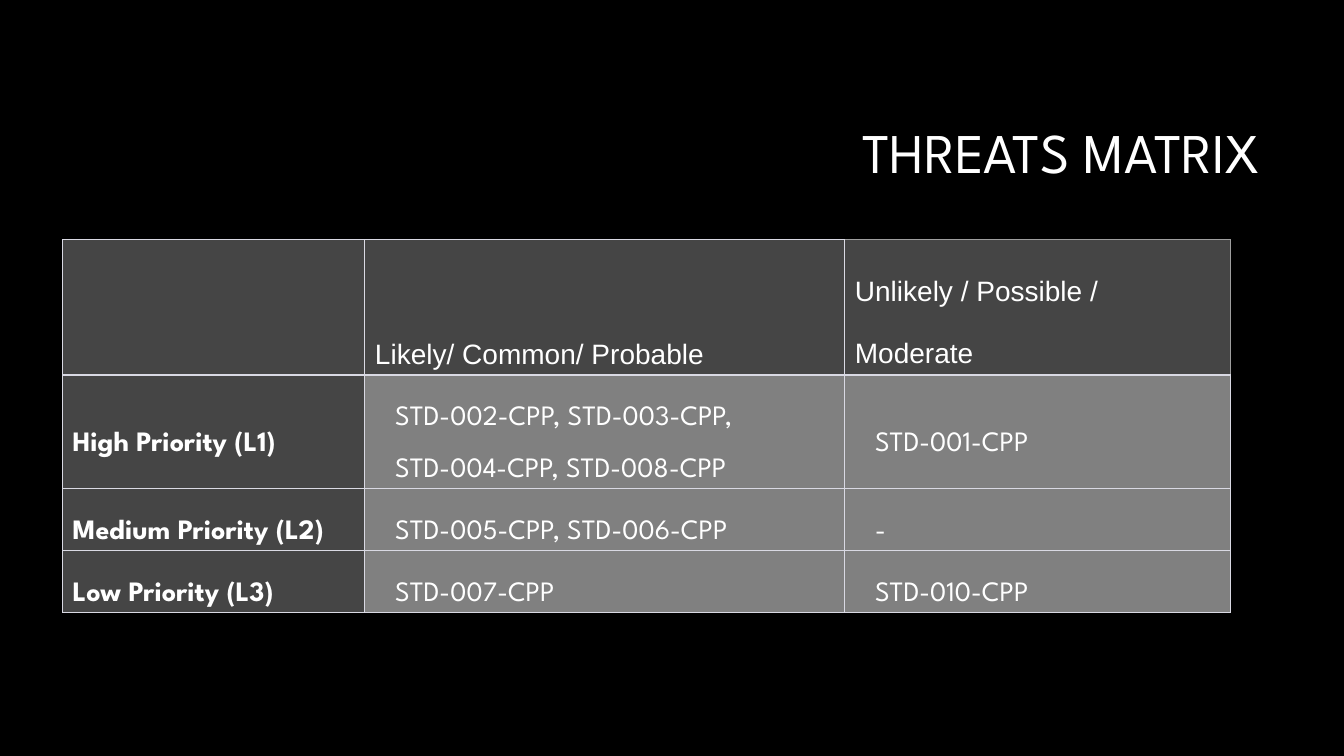
from dataclasses import dataclass

from lxml import etree
from pptx import Presentation
from pptx.dml.color import RGBColor
from pptx.enum.text import MSO_ANCHOR, PP_ALIGN
from pptx.oxml.ns import qn
from pptx.util import Inches, Pt

LEFT, RIGHT = PP_ALIGN.LEFT, PP_ALIGN.RIGHT
TOP, MIDDLE, BOTTOM = MSO_ANCHOR.TOP, MSO_ANCHOR.MIDDLE, MSO_ANCHOR.BOTTOM

BLACK = RGBColor(0x00, 0x00, 0x00)
WHITE = RGBColor(0xFF, 0xFF, 0xFF)
DARK = RGBColor(0x45, 0x45, 0x45)
GRAY = RGBColor(0x80, 0x80, 0x80)
PALE = RGBColor(0xD9, 0xD9, 0xE3)
EDGE = RGBColor(0x9E, 0x9E, 0x9E)

SPARTAN, ARIAL = "League Spartan", "Arial"
WIDTH, HEIGHT = Inches(13.33), Inches(7.5)
THIN, THICK = 0.75, 1

# Column widths and row heights, in percent of the slide
COLS = (22.5, 35.71, 28.66)
ROWS = (17.87, 14.93, 8.2, 8.2)


@dataclass
class Level:
    name: str
    likely: str
    rare: str


HEADS = ("", "Likely/ Common/ Probable", "Unlikely / Possible / Moderate")
LEVELS = (
    Level("High Priority (L1)",
          "STD-002-CPP, STD-003-CPP, STD-004-CPP, STD-008-CPP", "STD-001-CPP"),
    Level("Medium Priority (L2)", "STD-005-CPP, STD-006-CPP", "-"),
    Level("Low Priority (L3)", "STD-007-CPP", "STD-010-CPP"),
)


def across(share: float) -> int:
    return round(WIDTH * share / 100)


def down(share: float) -> int:
    return round(HEIGHT * share / 100)


def write(frame, text: str, *, size: float = 20, font: str = SPARTAN,
          bold: bool = False, align=LEFT, lead: float = 2,
          indent: float = 0) -> None:
    """Fill a text frame with one formatted paragraph."""
    para = frame.paragraphs[0]
    para.alignment, para.line_spacing = align, lead
    if indent:
        props = para._p.get_or_add_pPr()
        props.set("marL", str(Inches(indent)))
        props.set("indent", "0")
    if not text:
        return
    run = para.add_run()
    run.text = text
    run.font.size, run.font.name, run.font.bold = Pt(size), font, bold
    run.font.color.rgb = WHITE


def border(cell, side: str, color: RGBColor, width: float) -> None:
    props = cell._tc.get_or_add_tcPr()
    line = etree.SubElement(props, qn(f"a:ln{side}"), w=str(Pt(width)))
    fill = etree.SubElement(line, qn("a:solidFill"))
    etree.SubElement(fill, qn("a:srgbClr"), val=str(color))


def style(cell, row: int, col: int) -> None:
    """Draw the borders, then the fill, of one cell."""
    corner = row == 0 and col == len(COLS) - 1
    outer = EDGE if corner else PALE
    border(cell, "L", PALE, THIN)
    border(cell, "R", outer, THIN)
    border(cell, "T", outer, THICK if row else THIN)
    border(cell, "B", PALE, THIN if row == len(ROWS) - 1 else THICK)
    cell.fill.solid()
    cell.fill.fore_color.rgb = GRAY if row and col else DARK


def matrix(slide) -> None:
    frame = slide.shapes.add_table(
        len(ROWS), len(COLS), across(4.65), down(31.73),
        across(sum(COLS)), down(sum(ROWS)))
    table = frame.table
    table.first_row = table.horz_banding = False
    for col, share in zip(table.columns, COLS):
        col.width = across(share)
    for row, share in zip(table.rows, ROWS):
        row.height = down(share)

    # Header row
    for col, text in enumerate(HEADS):
        cell = table.cell(0, col)
        style(cell, 0, col)
        cell.vertical_anchor = BOTTOM if col == 1 else TOP
        write(cell.text_frame, text, font=ARIAL)

    # Priority rows
    for row, level in enumerate(LEVELS, 1):
        for col, text in enumerate((level.name, level.likely, level.rare)):
            cell = table.cell(row, col)
            style(cell, row, col)
            cell.vertical_anchor = MIDDLE
            write(cell.text_frame, text, bold=col == 0,
                  indent=0.2 if col else 0)


def main() -> None:
    deck = Presentation()
    deck.slide_width, deck.slide_height = WIDTH, HEIGHT
    slide = deck.slides.add_slide(deck.slide_layouts[5])
    slide.background.fill.solid()
    slide.background.fill.fore_color.rgb = BLACK

    # Title
    title = slide.shapes.title
    title.left, title.top = across(23.78), down(11.2)
    title.width, title.height = across(70.67), down(18.8)
    title.text_frame.vertical_anchor = MIDDLE
    write(title.text_frame, "THREATS MATRIX", size=40, align=RIGHT, lead=0.9)

    matrix(slide)
    deck.save("out.pptx")


if __name__ == "__main__":
    main()
